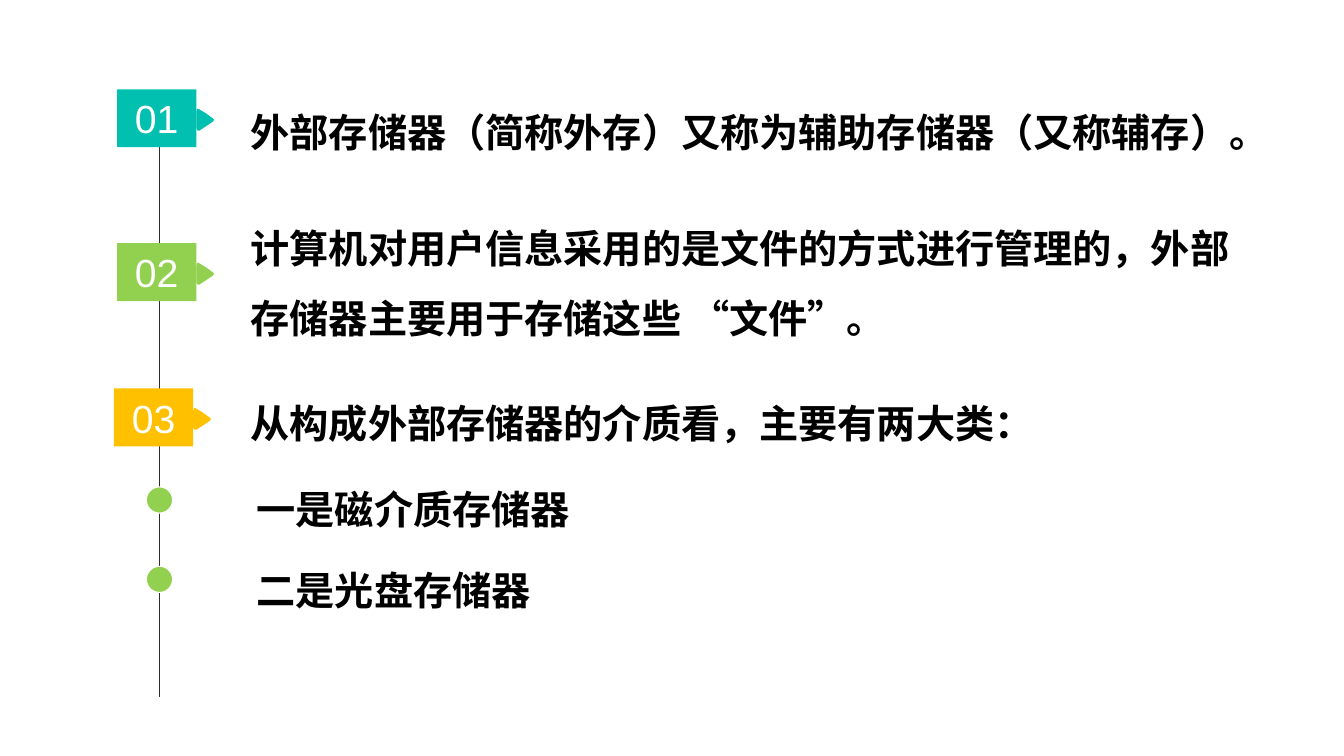
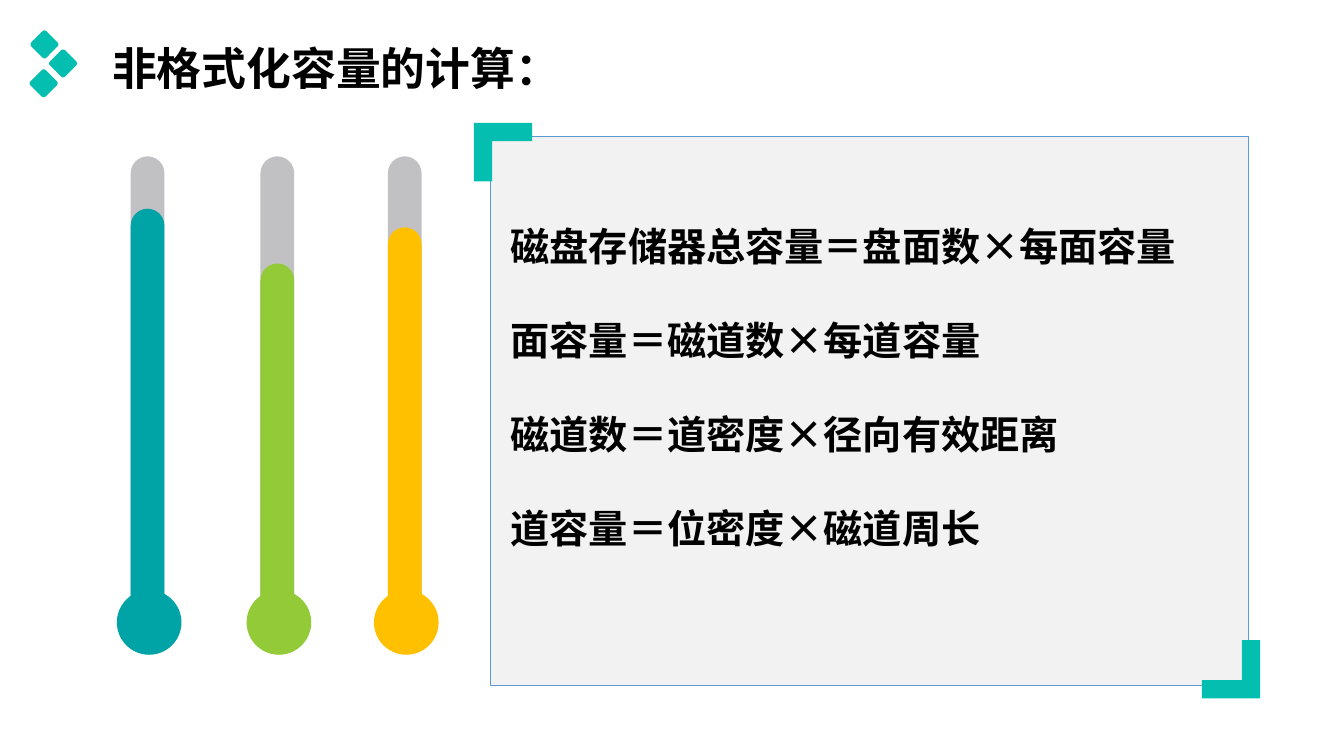
"""Build two slides on external storage and on unformatted disk capacity."""
import pptx
import pptx.dml.color
import pptx.enum.shapes
import pptx.enum.text
import pptx.oxml
import pptx.oxml.ns
import pptx.util

Cm = pptx.util.Cm
Pt = pptx.util.Pt
RGBColor = pptx.dml.color.RGBColor
SHAPE = pptx.enum.shapes.MSO_SHAPE
ALIGN = pptx.enum.text.PP_ALIGN
ANCHOR = pptx.enum.text.MSO_ANCHOR

TEAL = RGBColor(0x01, 0xC0, 0xB0)
ACCENT = RGBColor(0x04, 0xBE, 0xB0)
DEEP_TEAL = RGBColor(0x00, 0xA3, 0xA6)
GREEN = RGBColor(0x92, 0xD0, 0x50)
LEAF = RGBColor(0x93, 0xCA, 0x38)
AMBER = RGBColor(0xFF, 0xC0, 0x00)
GREY = RGBColor(0xC1, 0xC0, 0xC3)
PANEL = RGBColor(0xF2, 0xF2, 0xF2)
PANEL_EDGE = RGBColor(0x5B, 0x9B, 0xD5)
INK = RGBColor(0x2E, 0x2C, 0x2C)
BLACK = RGBColor(0, 0, 0)
WHITE = RGBColor(0xFF, 0xFF, 0xFF)
HAN_FONT = "Noto Sans CJK SC"
TAG_FONT = "Arial"

TAGS = [
    ("01", 2.95, 2.25, TEAL),
    ("02", 2.95, 6.13, GREEN),
    ("03", 2.87, 9.79, AMBER),
]
STATEMENTS = [
    ("外部存储器（简称外存）又称为辅助存储器（又称辅存）。", (6.07, 2.01, 26.44, 2.06), 0),
    ("计算机对用户信息采用的是文件的方式进行管理的，外部存储器主要用于存储这些 “文件”。",
     (6.07, 4.93, 25.43, 3.84), 0),
    ("从构成外部存储器的介质看，主要有两大类：", (6.07, 9.35, 20.47, 2.06), 0),
    ("一是磁介质存储器", (4.95, 11.51, 9.78, 2.06), 1),
    ("二是光盘存储器", (4.95, 13.56, 8.79, 2.06), 1),
]
TIMELINE_X = 4.02
DOT_CENTRES = [12.6, 14.6]
TIP_OUTLINE = [(0, 0.08), (0.02, 0.01), (0.06, 0.02), (0.23, 0.12), (0.41, 0.25), (0.45, 0.29),
               (0.41, 0.34), (0.23, 0.46), (0.08, 0.56), (0.03, 0.56), (0, 0.51)]

CAPACITY_TITLE = "非格式化容量的计算："
FORMULAS = [
    "磁盘存储器总容量＝盘面数×每面容量",
    "面容量＝磁道数×每道容量",
    "磁道数＝道密度×径向有效距离",
    "道容量＝位密度×磁道周长",
]
DIAMOND_CENTRES = [(1.12, 1.12), (1.59, 1.6), (1.1, 2.1)]
THERMOMETERS = [(3.72, 5.26, DEEP_TEAL), (6.99, 6.64, LEAF), (10.2, 5.73, AMBER)]
TUBE_TOP, TUBE_BOTTOM, TUBE_WIDTH = 3.94, 15.9, 0.85
BULB_SIZE, BULB_TOP = 1.63, 14.87
BRACKET_OUTLINE = [(0, 0), (1.47, 0), (1.47, 0.46), (0.46, 0.46), (0.46, 1.47), (0, 1.47)]
BRACKET_CORNERS = [(11.94, 3.1, 1), (31.76, 17.6, -1)]


def box_cm(box):
    return [Cm(length) for length in box]


def paint(shape, fill, edge=None, edge_width=0):
    shape.shadow.inherit = False
    shape.fill.solid()
    shape.fill.fore_color.rgb = fill
    if edge is None:
        shape.line.fill.background()
    else:
        shape.line.color.rgb = edge
        shape.line.width = Pt(edge_width)
    return shape


def add_figure(slide, preset, box, fill, edge=None, edge_width=0):
    return paint(slide.shapes.add_shape(preset, *box_cm(box)), fill, edge, edge_width)


def add_outline(slide, outline, left, top, fill, direction=1):
    points = [box_cm((left + direction * x, top + direction * y)) for x, y in outline]
    builder = slide.shapes.build_freeform(*points[0])
    builder.add_line_segments(points[1:], close=True)
    paint(builder.convert_to_shape(), fill)


def style(paragraph, size, color, name, bold, spacing=None, align=ALIGN.LEFT):
    paragraph.alignment = align
    paragraph.line_spacing = spacing
    font = paragraph.font
    font.size, font.bold, font.name = Pt(size), bold, name
    font.color.rgb = color
    defaults = paragraph._p.get_or_add_pPr().find(pptx.oxml.ns.qn("a:defRPr"))
    east_asian = pptx.oxml.parse_xml(f'<a:ea {pptx.oxml.ns.nsdecls("a")} typeface="{name}"/>')
    defaults.append(east_asian)


def add_lines(slide, lines, box, spacing, level=0):
    frame = slide.shapes.add_textbox(*box_cm(box)).text_frame
    frame.word_wrap = True
    frame.text = "\n".join(lines)
    for paragraph in frame.paragraphs:
        paragraph.level = level
        style(paragraph, 28, BLACK, HAN_FONT, True, spacing)


def add_tag(slide, number, left, top, color):
    add_outline(slide, TIP_OUTLINE, left + 2, top + 0.48, color)
    frame = add_figure(slide, SHAPE.RECTANGLE, (left, top, 2, 1.46), color).text_frame
    frame.vertical_anchor = ANCHOR.MIDDLE
    frame.text = number
    style(frame.paragraphs[0], 28, WHITE, TAG_FONT, False, align=ALIGN.CENTER)


def build_overview(deck):
    slide = deck.slides.add_slide(deck.slide_layouts[6])
    timeline = slide.shapes.add_connector(
        pptx.enum.shapes.MSO_CONNECTOR.STRAIGHT,
        *box_cm((TIMELINE_X, 2.97, TIMELINE_X, 17.57)))
    timeline.line.color.rgb = INK
    timeline.line.width = Pt(1)
    timeline._element.spPr.append(
        pptx.oxml.parse_xml(f'<a:effectLst {pptx.oxml.ns.nsdecls("a")}/>'))
    for tag in TAGS:
        add_tag(slide, *tag)
    for centre in DOT_CENTRES:
        add_figure(slide, SHAPE.OVAL, (TIMELINE_X - 0.33, centre - 0.33, 0.66, 0.66), GREEN, WHITE)
    for statement, box, level in STATEMENTS:
        add_lines(slide, [statement], box, 1.5, level)


def add_title(slide, text):
    title = slide.shapes.title
    title.left, title.top, title.width, title.height = box_cm((2.57, 1.04, 16.59, 1.5))
    frame = title.text_frame
    frame.text = text
    frame.auto_size = pptx.enum.text.MSO_AUTO_SIZE.NONE
    frame.vertical_anchor = ANCHOR.MIDDLE
    style(frame.paragraphs[0], 32, BLACK, HAN_FONT, True, 0.9)
    side = 0.54
    for x, y in DIAMOND_CENTRES:
        box = (x - side / 2, y - side / 2, side, side)
        diamond = add_figure(slide, SHAPE.ROUNDED_RECTANGLE, box, ACCENT)
        diamond.adjustments[0] = 0.13
        diamond.rotation = 45


def add_thermometer(slide, centre, level_top, color):
    for top, fill in ((TUBE_TOP, GREY), (level_top, color)):
        box = (centre - TUBE_WIDTH / 2, top, TUBE_WIDTH, TUBE_BOTTOM - top)
        add_figure(slide, SHAPE.ROUNDED_RECTANGLE, box, fill).adjustments[0] = 0.5
    bulb_left = centre + 0.04 - BULB_SIZE / 2
    add_figure(slide, SHAPE.OVAL, (bulb_left, BULB_TOP, BULB_SIZE, BULB_SIZE), color)


def build_capacity(deck):
    slide = deck.slides.add_slide(deck.slide_layouts[5])
    add_title(slide, CAPACITY_TITLE)
    for thermometer in THERMOMETERS:
        add_thermometer(slide, *thermometer)
    add_figure(slide, SHAPE.RECTANGLE, (12.37, 3.43, 19.1, 13.84), PANEL, PANEL_EDGE, 0.75)
    add_lines(slide, FORMULAS, (12.62, 4.29, 19.33, 11.89), 2)
    for x, y, direction in BRACKET_CORNERS:
        add_outline(slide, BRACKET_OUTLINE, x, y, ACCENT, direction)


def main():
    deck = pptx.Presentation()
    deck.slide_width, deck.slide_height = Cm(33.87), Cm(19.05)
    build_overview(deck)
    build_capacity(deck)
    deck.save("out.pptx")


if __name__ == "__main__":
    main()
